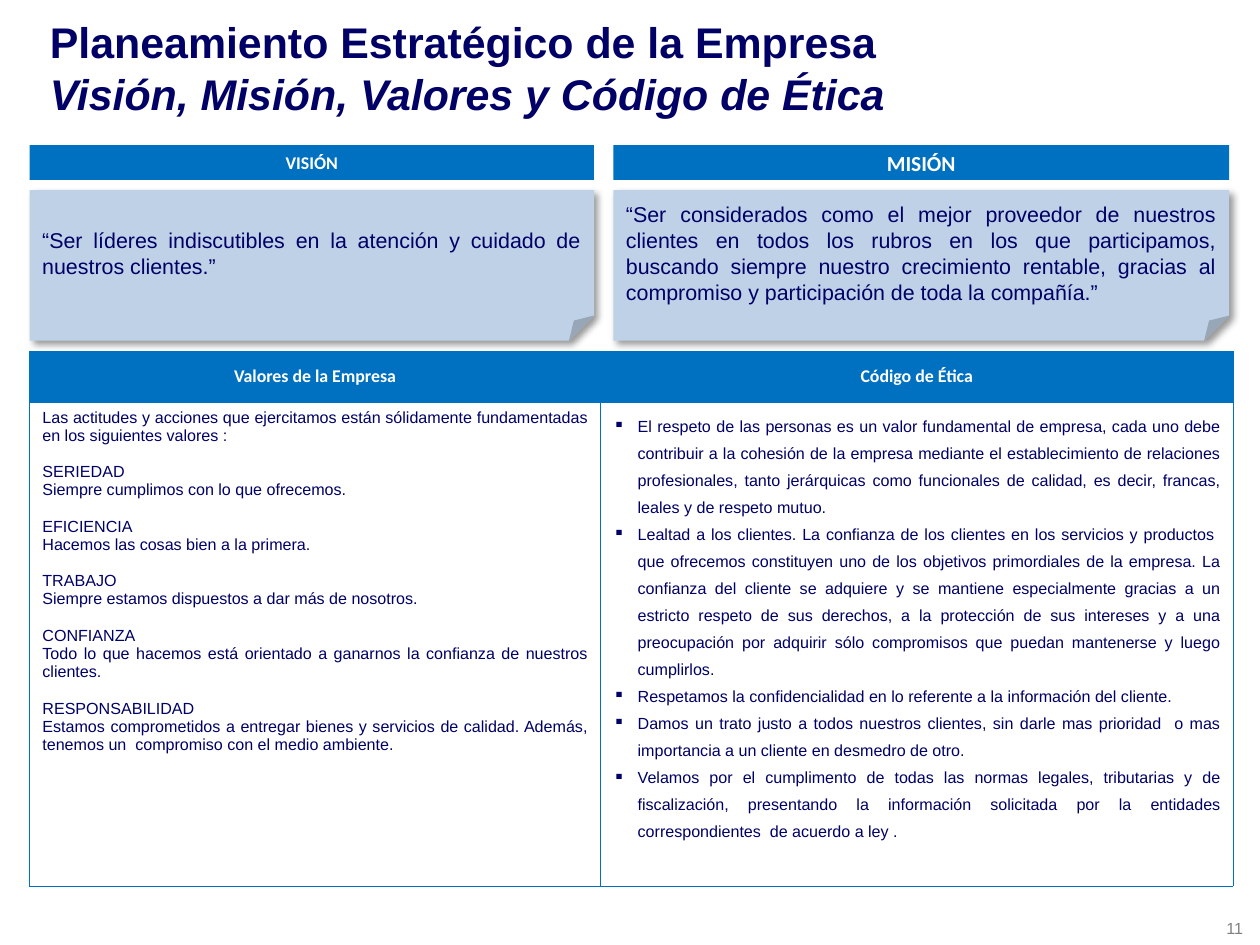
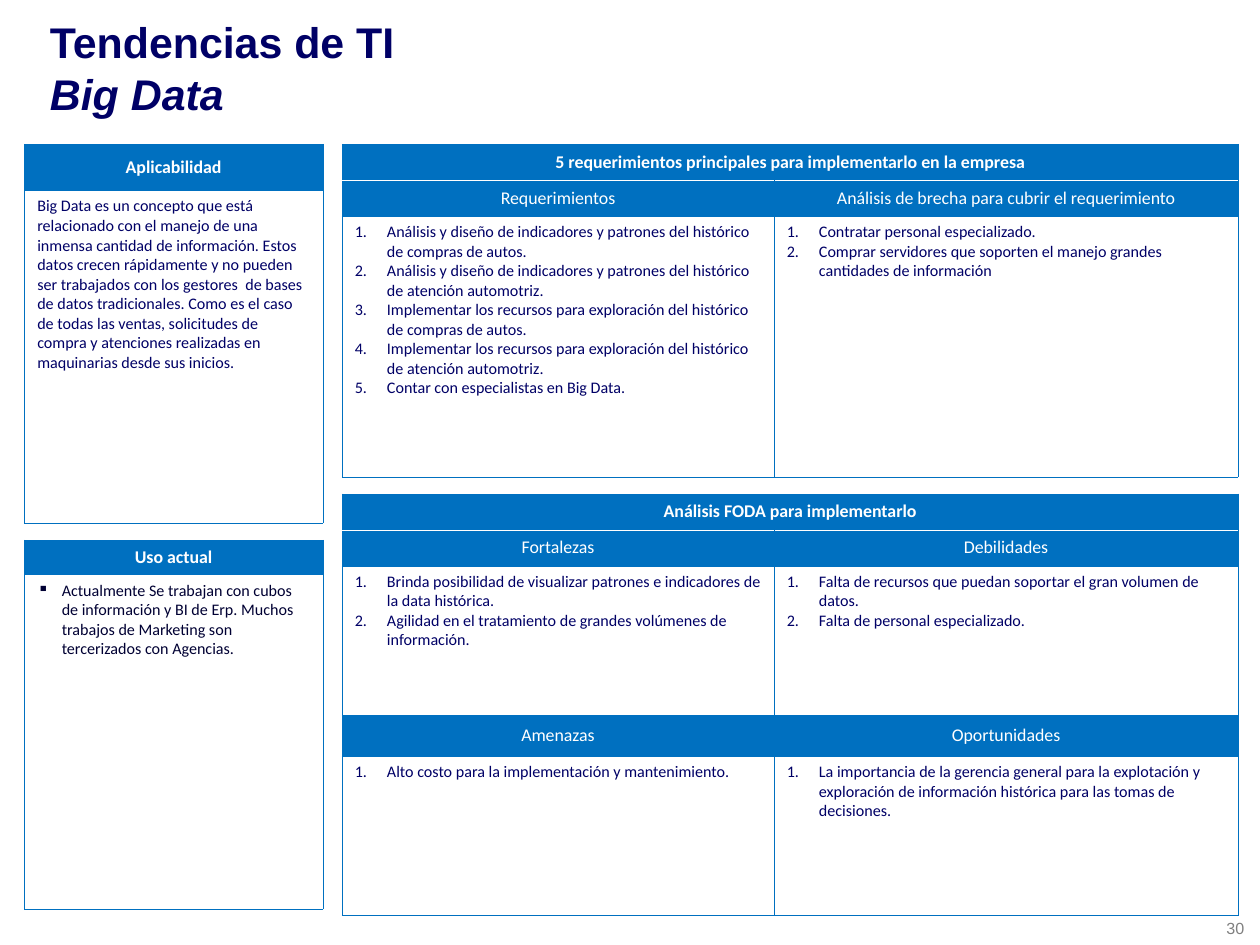
from lxml import etree
from pptx import Presentation
from pptx import util as u
from pptx.dml.color import RGBColor
from pptx.enum import shapes, text
from pptx.oxml import ns

COLORS = {"blue": "0070C0", "navy": "000066", "midnight": "000033", "note": "BFD1E7",
          "gray": "808080", "white": "FFFFFF", "black": "000000"}
ALIGN, MIDDLE = text.PP_ALIGN, text.MSO_ANCHOR.MIDDLE
HEAD = dict(size=10, bold=True, color="white", align=ALIGN.CENTER)
SUBHEAD = dict(HEAD, bold=False)
BODY = dict(size=9)
NUMBERED = dict(BODY, bullet="1.", indent=0.25)
SQUARES = dict(BODY, bullet="▪", indent=0.19)
USAGE = dict(SQUARES, color="midnight")
ETHICS = dict(SQUARES, font="Arial", align=ALIGN.JUSTIFY, spacing=1.5)
VALUES = dict(BODY, font="Arial", align=ALIGN.JUSTIFY, heading_gap=10.35)
QUOTE = dict(size=12, font="Arial", align=ALIGN.JUSTIFY)


def rgb(name):
    """Return the palette colour called name."""
    return RGBColor.from_string(COLORS[name])


def add_xml(parent, tag, **attributes):
    """Append a drawing element to parent and return it."""
    return etree.SubElement(parent, ns.qn(tag), attributes)


def write(frame, lines, size=9, font="Calibri", color="navy", bold=False, align=None,
          bullet=None, indent=0, spacing=None, heading_gap=0):
    """Write lines as paragraphs; upper-case headings get heading_gap points above."""
    for index, line in enumerate(lines):
        paragraph = frame.paragraphs[0] if index == 0 else frame.add_paragraph()
        if bullet:
            props = paragraph._p.get_or_add_pPr()
            props.set("marL", str(u.Inches(indent)))
            props.set("indent", str(-u.Inches(indent)))
            if bullet == "1.":
                add_xml(props, "a:buAutoNum", type="arabicPeriod")
            else:
                add_xml(props, "a:buChar", char=bullet)
        if align is not None:
            paragraph.alignment = align
        if spacing:
            paragraph.line_spacing = spacing
        if heading_gap and index and line.isupper():
            paragraph.space_before = u.Pt(heading_gap)
        run = paragraph.add_run()
        run.text = line
        run.font.size, run.font.name, run.font.bold = u.Pt(size), font, bold
        run.font.color.rgb = rgb(color)


def add_text(slide, box, lines, wrap=True, **style):
    """Add a text box and return its frame."""
    frame = slide.shapes.add_textbox(*map(u.Inches, box)).text_frame
    frame.word_wrap = wrap
    write(frame, lines, **style)
    return frame


def add_panel(slide, kind, box, fill, line, wrap=True, **style):
    """Add a filled shape with one line of text."""
    panel = slide.shapes.add_shape(kind, *map(u.Inches, box))
    panel.shadow.inherit = False
    panel.fill.solid()
    panel.fill.fore_color.rgb = rgb(fill)
    panel.line.fill.background()
    panel.text_frame.word_wrap = wrap
    panel.text_frame.vertical_anchor = MIDDLE
    write(panel.text_frame, [line], **style)
    return panel


def add_shadow(shape):
    """Give shape a soft shadow towards the lower right."""
    effects = shape._element.spPr.find(ns.qn("a:effectLst"))
    shadow = add_xml(effects, "a:outerShdw", blurRad=str(u.Pt(4)), dist=str(u.Pt(3)),
                     dir="2700000", algn="tl", rotWithShape="0")
    color = add_xml(shadow, "a:srgbClr", val=COLORS["black"])
    add_xml(color, "a:alpha", val="40000")


def style_cell(cell, fill, white_edges):
    """Draw thin blue borders, white on the named edges, and fill the cell."""
    props = cell._tc.get_or_add_tcPr()
    for edge in "LRTB":
        border = add_xml(props, "a:ln" + edge, w=str(u.Pt(0.25)))
        color = "white" if edge in white_edges else "blue"
        add_xml(add_xml(border, "a:solidFill"), "a:srgbClr", val=COLORS[color])
    cell.fill.solid()
    cell.fill.fore_color.rgb = rgb(fill)


def add_grid(slide, left, top, widths, rows):
    """Add a table of (height, styles, cells) rows; a lone cell spans the full width."""
    size = (sum(widths), sum(row[0] for row in rows))
    table = slide.shapes.add_table(len(rows), len(widths),
                                   *map(u.Inches, (left, top, *size))).table
    table.first_row = table.horz_banding = False
    for column, width in zip(table.columns, widths):
        column.width = u.Inches(width)
    below_span = False
    for y, (height, styles, cells) in enumerate(rows):
        table.rows[y].height = u.Inches(height)
        spans = len(cells) < len(widths)
        white_edges = "B" * spans + "T" * below_span
        below_span = spans
        is_head = styles[0] in (HEAD, SUBHEAD)
        for x in range(len(widths)):
            style_cell(table.cell(y, x), "blue" if is_head else "white", white_edges)
        if spans:
            table.cell(y, 0).merge(table.cell(y, len(widths) - 1))
        for x, lines in enumerate(cells):
            cell = table.cell(y, x)
            if is_head:
                cell.vertical_anchor = MIDDLE
            write(cell.text_frame, lines, **styles[x % len(styles)])


def start_slide(deck, title, subtitle, number):
    """Add a blank slide with page number and two-line title."""
    slide = deck.slides.add_slide(deck.slide_layouts[6])
    add_text(slide, (9.44, 7.09, 0.36, 0.25), [number], wrap=False,
             font="Arial", color="gray")
    frame = add_text(slide, (0.29, 0.16, 9.27, 0.73), [title, subtitle],
                     size=24, font="Arial", bold=True)
    frame.vertical_anchor = MIDDLE
    frame.paragraphs[1].runs[0].font.italic = True
    return slide


def add_statement(slide, left, top, width, heading, quote, heading_size):
    """Add a heading band with a folded note below it."""
    add_panel(slide, shapes.MSO_SHAPE.RECTANGLE, (left, top, width, 0.27), "blue",
              heading, wrap=False, **dict(HEAD, size=heading_size))
    note = add_panel(slide, shapes.MSO_SHAPE.FOLDED_CORNER, (left, top + 0.35, width, 1.17),
                     "note", quote, **QUOTE)
    add_shadow(note)


def build_planning(deck):
    """Build the vision, mission, values and ethics slide."""
    slide = start_slide(deck, "Planeamiento Estratégico de la Empresa",
                        "Visión, Misión, Valores y Código de Ética", "11")
    values = [
        "Las actitudes y acciones que ejercitamos están sólidamente fundamentadas en los "
        "siguientes valores :",
        "SERIEDAD", "Siempre cumplimos con lo que ofrecemos.",
        "EFICIENCIA", "Hacemos las cosas bien a la primera.",
        "TRABAJO", "Siempre estamos dispuestos a dar más de nosotros.",
        "CONFIANZA",
        "Todo lo que hacemos está orientado a ganarnos la confianza de nuestros clientes.",
        "RESPONSABILIDAD",
        "Estamos comprometidos a entregar bienes y servicios de calidad. Además, tenemos un  "
        "compromiso con el medio ambiente."]
    ethics = [
        "El respeto de las personas es un valor fundamental de empresa, cada uno debe contribuir "
        "a la cohesión de la empresa mediante el establecimiento de relaciones profesionales, "
        "tanto jerárquicas como funcionales de calidad, es decir, francas, leales y de respeto "
        "mutuo.",
        "Lealtad a los clientes. La confianza de los clientes en los servicios y productos  que "
        "ofrecemos constituyen uno de los objetivos primordiales de la empresa. La confianza del "
        "cliente se adquiere y se mantiene especialmente gracias a un estricto respeto de sus "
        "derechos, a la protección de sus intereses y a una preocupación por adquirir sólo "
        "compromisos que puedan mantenerse y luego cumplirlos.",
        "Respetamos la confidencialidad en lo referente a la información del cliente.",
        "Damos un trato justo a todos nuestros clientes, sin darle mas prioridad  o mas "
        "importancia a un cliente en desmedro de otro.",
        "Velamos por el cumplimento de todas las normas legales, tributarias y de fiscalización, "
        "presentando la información solicitada por la entidades correspondientes  de acuerdo a "
        "ley ."]
    add_grid(slide, 0.23, 2.73, (4.44, 4.92), [
        (0.4, [HEAD], [["Valores de la Empresa"], ["Código de Ética"]]),
        (3.76, [VALUES, ETHICS], [values, ethics])])
    add_statement(slide, 0.23, 1.13, 4.39, "VISIÓN",
                  "“Ser líderes indiscutibles en la atención y cuidado de nuestros clientes.”", 10)
    add_statement(slide, 4.77, 1.13, 4.79, "MISIÓN",
                  "“Ser considerados como el mejor proveedor de nuestros clientes en todos los "
                  "rubros en los que participamos, buscando siempre nuestro crecimiento rentable, "
                  "gracias al compromiso y participación de toda la compañía.”", 12)


def build_trend(deck):
    """Build the technology trend slide with its four tables."""
    slide = start_slide(deck, "Tendencias de TI", "Big Data", "30")
    narrow, wide = (2.32,), (3.36, 3.61)
    requirements = [
        f"{action} del histórico de {area}."
        for action in ("Análisis y diseño de indicadores y patrones",
                       "Implementar los recursos para exploración")
        for area in ("compras de autos", "atención automotriz")]
    requirements.append("Contar con especialistas en Big Data.")
    add_grid(slide, 2.66, 1.12, wide, [
        (0.28, [HEAD], [["5 requerimientos principales para implementarlo en la empresa"]]),
        (0.28, [SUBHEAD], [["Requerimientos"],
                           ["Análisis de brecha para cubrir el requerimiento"]]),
        (2.03, [NUMBERED], [requirements, [
            "Contratar personal especializado.",
            "Comprar servidores que soporten el manejo grandes cantidades de información"]])])
    add_grid(slide, 2.66, 3.84, wide, [
        (0.28, [HEAD], [["Análisis FODA para implementarlo"]]),
        (0.28, [SUBHEAD], [["Fortalezas"], ["Debilidades"]]),
        (1.16, [NUMBERED], [
            ["Brinda posibilidad de visualizar patrones e indicadores de la data histórica.",
             "Agilidad en el tratamiento de grandes volúmenes de información."],
            ["Falta de recursos que puedan soportar el gran volumen de datos.",
             "Falta de personal especializado."]]),
        (0.32, [SUBHEAD], [["Amenazas"], ["Oportunidades"]]),
        (1.24, [NUMBERED], [
            ["Alto costo para la implementación y mantenimiento."],
            ["La importancia de la gerencia general para la explotación y exploración de "
             "información histórica para las tomas de decisiones."]])])
    add_grid(slide, 0.19, 1.12, narrow, [
        (0.36, [HEAD], [["Aplicabilidad"]]),
        (2.59, [BODY], [[
            "Big Data es un concepto que está relacionado con el manejo de una inmensa cantidad "
            "de información. Estos datos crecen rápidamente y no pueden ser trabajados con los "
            "gestores  de bases de datos tradicionales. Como es el caso de todas las ventas, "
            "solicitudes de compra y atenciones realizadas en maquinarias desde sus inicios."]])])
    add_grid(slide, 0.19, 4.2, narrow, [
        (0.27, [HEAD], [["Uso actual"]]),
        (2.6, [USAGE], [[
            "Actualmente Se trabajan con cubos de información y BI de Erp. Muchos trabajos de "
            "Marketing son tercerizados con Agencias."]])])


def main():
    """Build and save the deck."""
    deck = Presentation()
    deck.slide_width, deck.slide_height = u.Inches(9.8), u.Inches(7.35)
    build_planning(deck)
    build_trend(deck)
    deck.save("out.pptx")


if __name__ == "__main__":
    main()
